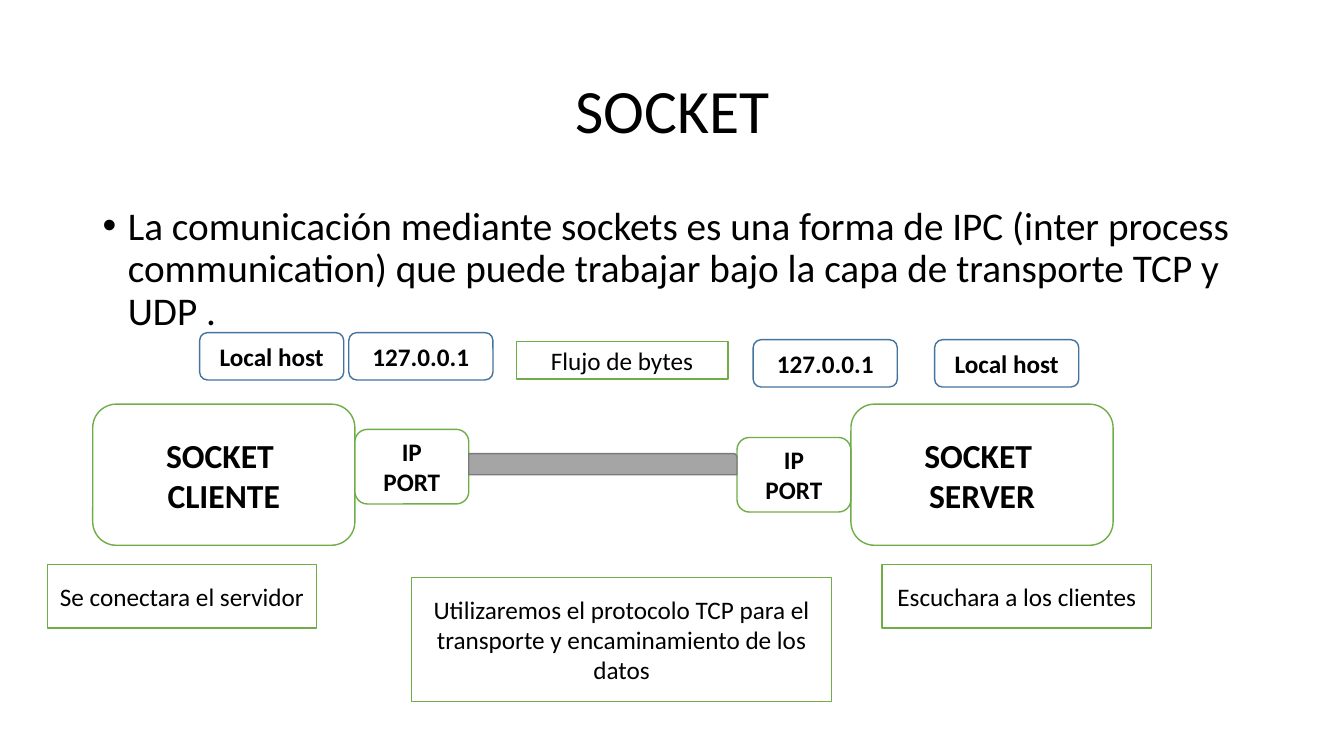
from dataclasses import dataclass
from typing import Optional

from lxml import etree
from pptx import Presentation
from pptx.dml import color
from pptx.enum import shapes, text
from pptx.oxml import ns
from pptx.util import Inches, Pt

COLORS = {"white": "FFFFFF", "black": "000000", "green": "70AD47",
          "blue": "43739E", "gray": "A5A5A5", "edge": "7A7A7A"}
FONT = "Calibri"
ROUND = shapes.MSO_SHAPE.ROUNDED_RECTANGLE
RECT = shapes.MSO_SHAPE.RECTANGLE
PIPE = shapes.MSO_SHAPE.ROUND_1_RECTANGLE


@dataclass
class Style:
    kind: shapes.MSO_SHAPE
    line: str
    fill: Optional[str] = "white"
    size: int = 18
    bold: bool = False


@dataclass
class Box:
    style: Style
    left: float
    top: float
    width: float
    height: float
    words: str = ""


def rgb(name: str) -> color.RGBColor:
    return color.RGBColor.from_string(COLORS[name])


def write(frame, words: str, size: int, bold: bool = False,
          align=text.PP_ALIGN.CENTER, anchor=text.MSO_ANCHOR.MIDDLE) -> None:
    frame.text = words
    frame.word_wrap = True
    frame.vertical_anchor = anchor
    for para in frame.paragraphs:
        para.alignment = align
        for run in para.runs:
            run.font.name = FONT
            run.font.size = Pt(size)
            run.font.bold = bold
            run.font.color.rgb = rgb("black")


def draw(slide, box: Box) -> None:
    style = box.style
    shape = slide.shapes.add_shape(
        style.kind, Inches(box.left), Inches(box.top),
        Inches(box.width), Inches(box.height))
    shape.shadow.inherit = False
    if style.fill:
        shape.fill.solid()
        shape.fill.fore_color.rgb = rgb(style.fill)
    else:
        shape.fill.background()
    shape.line.color.rgb = rgb(style.line)
    shape.line.width = Pt(1)
    if box.words:
        write(shape.text_frame, box.words, style.size, style.bold)


def label(slide, top: float, height: float, words: str, size: int, **place):
    area = slide.shapes.add_textbox(
        Inches(0.92), Inches(top), Inches(11.5), Inches(height))
    write(area.text_frame, words, size, **place)
    para = area.text_frame.paragraphs[0]
    para.line_spacing = 0.9
    return para


def bullet(para) -> None:
    props = para._p.get_or_add_pPr()
    props.set("marL", str(Inches(0.25)))
    props.set("indent", str(Inches(-0.25)))
    font = etree.SubElement(props, ns.qn("a:buFont"))
    font.set("typeface", "Arial")
    mark = etree.SubElement(props, ns.qn("a:buChar"))
    mark.set("char", "•")


# Box styles
SOCKET = Style(ROUND, "green", size=24, bold=True)
PORT = Style(ROUND, "green", bold=True)
HOST = Style(ROUND, "blue", fill=None, bold=True)
NOTE = Style(RECT, "green")
FLOW = Style(PIPE, "edge", fill="gray")

BOXES = [
    # Sockets and their ports
    Box(SOCKET, 0.92, 4.01, 2.6, 1.4, "SOCKET \nCLIENTE"),
    Box(SOCKET, 8.44, 4.01, 2.6, 1.4, "SOCKET \nSERVER"),
    Box(PORT, 3.52, 4.26, 1.13, 0.74, "IP\nPORT"),
    Box(PORT, 7.31, 4.34, 1.13, 0.74, "IP\nPORT"),
    # Byte stream between the ports
    Box(FLOW, 4.65, 4.5, 2.66, 0.21),
    # Notes
    Box(NOTE, 5.12, 3.39, 2.1, 0.37, "Flujo de bytes"),
    Box(NOTE, 4.08, 5.73, 4.17, 1.23,
        "Utilizaremos el protocolo TCP para el transporte y "
        "encaminamiento de los datos"),
    Box(NOTE, 0.47, 5.6, 2.67, 0.63, "Se conectara el servidor"),
    Box(NOTE, 8.75, 5.6, 2.67, 0.63, "Escuchara a los clientes"),
    # Host names and addresses
    Box(HOST, 7.47, 3.37, 1.43, 0.47, "127.0.0.1"),
    Box(HOST, 9.27, 3.37, 1.43, 0.47, "Local host"),
    Box(HOST, 3.46, 3.3, 1.43, 0.47, "127.0.0.1"),
    Box(HOST, 1.98, 3.3, 1.43, 0.47, "Local host"),
]


def main() -> None:
    deck = Presentation()
    deck.slide_width, deck.slide_height = Inches(13.33), Inches(7.5)
    slide = deck.slides.add_slide(deck.slide_layouts[6])

    # Title and body
    label(slide, 0.4, 1.45, "SOCKET", 44)
    body = label(
        slide, 2, 4.76,
        "La comunicación mediante sockets es una forma de IPC (inter process "
        "communication) que puede trabajar bajo la capa de transporte TCP y "
        "UDP .", 28, align=text.PP_ALIGN.LEFT, anchor=text.MSO_ANCHOR.TOP)
    body.space_before = Pt(10)
    bullet(body)

    # Diagram
    for box in BOXES:
        draw(slide, box)
    deck.save("out.pptx")


if __name__ == "__main__":
    main()
